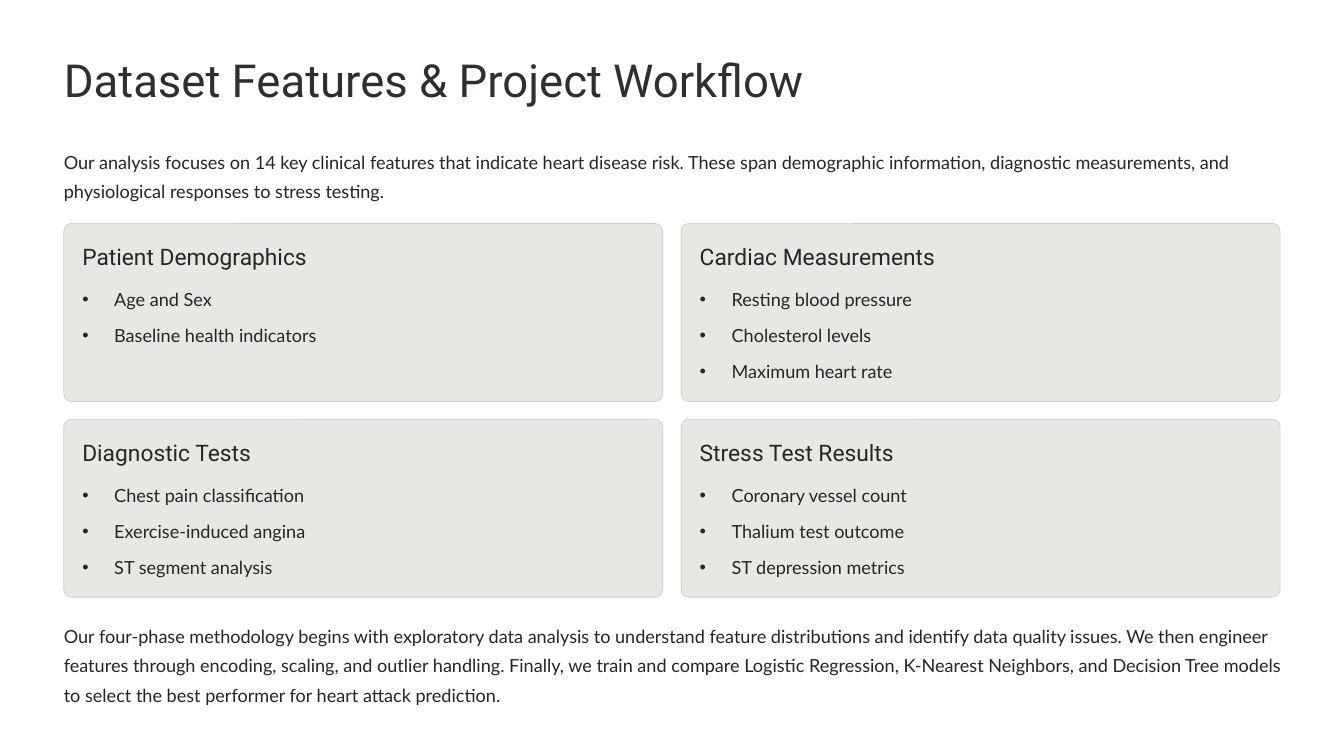
from dataclasses import dataclass

from lxml.etree import SubElement
from pptx import Presentation
from pptx.dml.color import RGBColor
from pptx.enum.shapes import MSO_SHAPE as Preset
from pptx.enum.text import MSO_ANCHOR as Anchor, MSO_AUTO_SIZE as AutoSize, PP_ALIGN as Align
from pptx.oxml.ns import qn
from pptx.shapes.base import BaseShape
from pptx.slide import Slide
from pptx.util import Inches, Pt

COLORS = {"title": "312F2B", "text": "272525", "card": "E8E8E3", "border": "CECEC9"}
LEFT, FULL_WIDTH = 0.76, 14.48
CARD_TOP, CARD_WIDTH, CARD_HEIGHT = 2.66, 7.13, 2.12
COLUMN_STEP, ROW_STEP = 7.35, 2.33
PADDING = 0.22
BULLET_INDENT = 0.38

INTRO = (
    "Our analysis focuses on 14 key clinical features that indicate heart disease risk. "
    "These span demographic information, diagnostic measurements, and physiological "
    "responses to stress testing."
)
METHOD = (
    "Our four-phase methodology begins with exploratory data analysis to understand "
    "feature distributions and identify data quality issues. We then engineer features "
    "through encoding, scaling, and outlier handling. Finally, we train and compare "
    "Logistic Regression, K-Nearest Neighbors, and Decision Tree models to select the "
    "best performer for heart attack prediction."
)


@dataclass(frozen=True)
class FeatureCard:
    heading: str
    features: tuple[str, ...]


CARDS = (
    FeatureCard("Patient Demographics", ("Age and Sex", "Baseline health indicators")),
    FeatureCard(
        "Cardiac Measurements",
        ("Resting blood pressure", "Cholesterol levels", "Maximum heart rate"),
    ),
    FeatureCard(
        "Diagnostic Tests",
        ("Chest pain classification", "Exercise-induced angina", "ST segment analysis"),
    ),
    FeatureCard(
        "Stress Test Results",
        ("Coronary vessel count", "Thalium test outcome", "ST depression metrics"),
    ),
)


def write_text(
    box: BaseShape,
    *lines: str,
    font: str = "Lato",
    size: float = 15.5,
    color: str = "text",
    spacing: float = 25,
    gap: float = 0,
    bullet: bool = False,
    wrap: bool = True,
) -> None:
    frame = box.text_frame
    frame.auto_size = AutoSize.NONE
    frame.word_wrap = wrap
    frame.vertical_anchor = Anchor.TOP
    frame.margin_left = frame.margin_top = frame.margin_right = frame.margin_bottom = 0
    for index, line in enumerate(lines):
        para = frame.add_paragraph() if index else frame.paragraphs[0]
        if bullet:
            properties = para._p.get_or_add_pPr()
            properties.set("marL", str(Inches(BULLET_INDENT)))
            properties.set("indent", str(-Inches(BULLET_INDENT)))
            SubElement(properties, qn("a:buChar")).set("char", "•")
        para.alignment = Align.LEFT
        para.line_spacing = Pt(spacing)
        para.space_before = Pt(gap if index else 0)
        para.space_after = Pt(0)
        span = para.add_run()
        span.text = line
        span.font.name = font
        span.font.size = Pt(size)
        span.font.bold = False
        span.font.color.rgb = RGBColor.from_string(COLORS[color])


def place(box: BaseShape, left: float, top: float, width: float, height: float) -> None:
    box.left, box.top = Inches(left), Inches(top)
    box.width, box.height = Inches(width), Inches(height)


def add_text_box(page: Slide, left: float, top: float, width: float, height: float) -> BaseShape:
    return page.shapes.add_textbox(Inches(left), Inches(top), Inches(width), Inches(height))


def draw_card(page: Slide, card: FeatureCard, body: BaseShape, left: float, top: float) -> None:
    panel = page.shapes.add_shape(
        Preset.ROUNDED_RECTANGLE,
        Inches(left), Inches(top), Inches(CARD_WIDTH), Inches(CARD_HEIGHT),
    )
    panel.adjustments[0] = 0.043
    panel.shadow.inherit = False
    panel.fill.solid()
    panel.fill.fore_color.rgb = RGBColor.from_string(COLORS["card"])
    panel.line.color.rgb = RGBColor.from_string(COLORS["border"])
    panel.line.width = Pt(0.6)
    body.element.addprevious(panel.element)

    heading = add_text_box(page, left + PADDING, top + PADDING, 2.8, 0.34)
    write_text(heading, card.heading, font="Roboto", size=19.5, spacing=24, wrap=False)
    body.element.addprevious(heading.element)

    place(body, left + PADDING, top + 0.69, 6.68, 1.2)
    write_text(body, *card.features, gap=5.6, bullet=True)


def main() -> None:
    deck = Presentation()
    deck.slide_width, deck.slide_height = Inches(16), Inches(9)
    page = deck.slides.add_slide(deck.slide_layouts.get_by_name("Comparison"))

    title = page.shapes.title
    place(title, LEFT, 0.6, 8.9, 0.68)
    write_text(
        title, "Dataset Features & Project Workflow",
        font="Roboto", size=39, color="title", spacing=48.5, wrap=False,
    )
    write_text(add_text_box(page, LEFT, 1.71, FULL_WIDTH, 0.7), INTRO)

    bodies = [page.placeholders[index] for index in range(1, 5)]
    for index, (card, body) in enumerate(zip(CARDS, bodies)):
        row, column = divmod(index, 2)
        draw_card(page, card, body, LEFT + column * COLUMN_STEP, CARD_TOP + row * ROW_STEP)

    write_text(add_text_box(page, LEFT, 7.36, FULL_WIDTH, 1.04), METHOD)
    deck.save("out.pptx")


if __name__ == "__main__":
    main()
